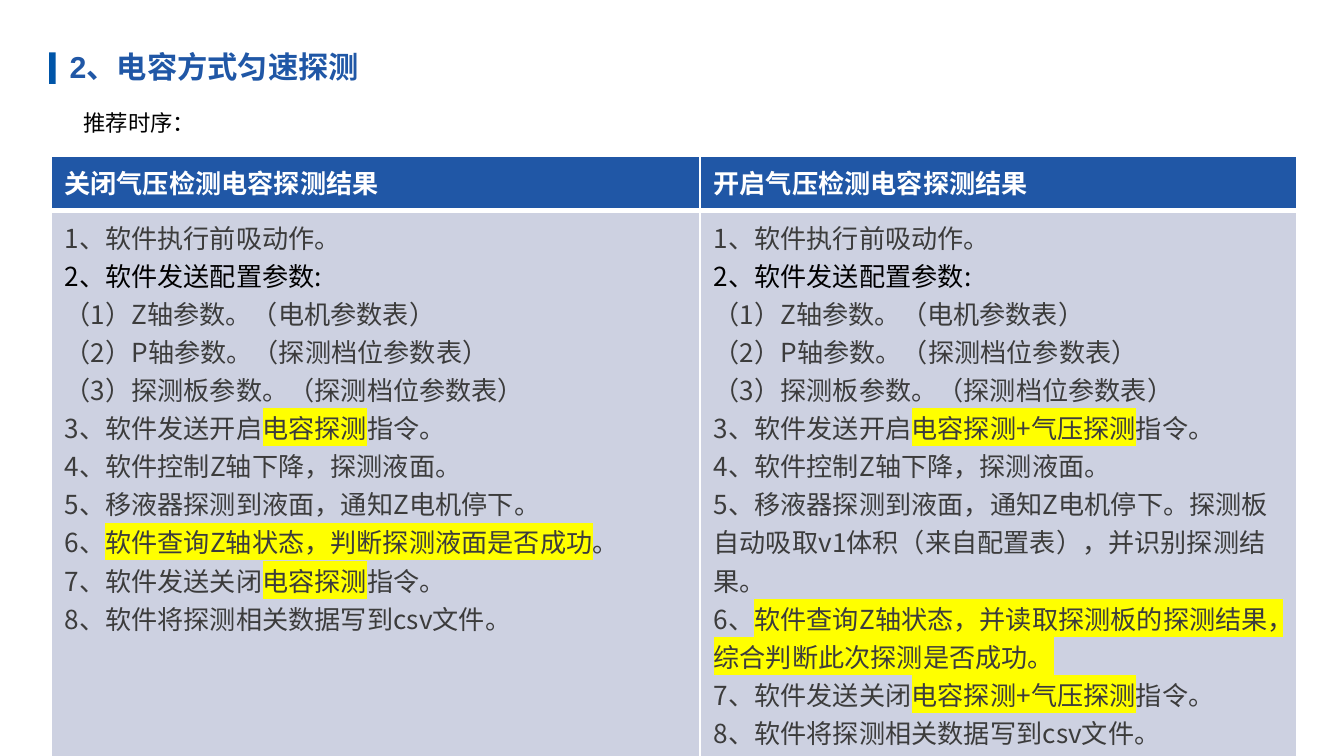
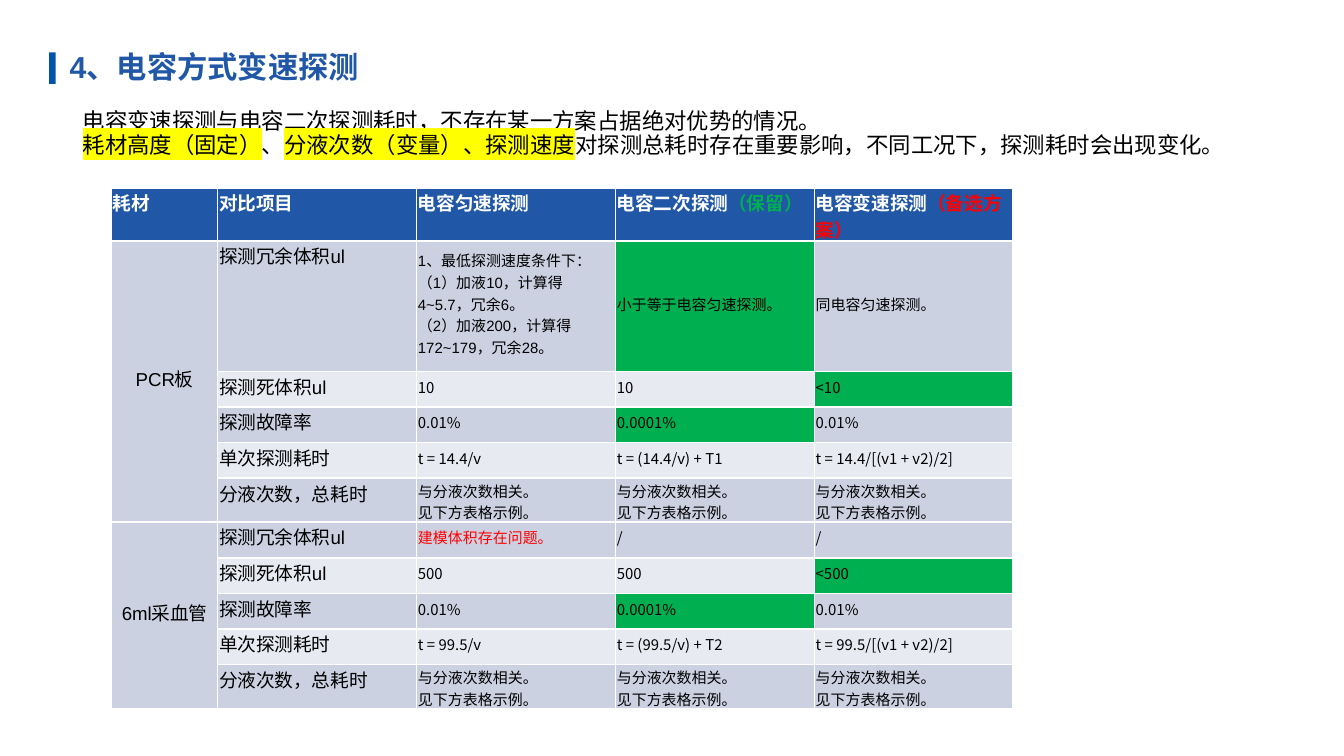
import pptx
import pptx.util
import pptx.dml.color
import pptx.enum.shapes
import pptx.enum.text
import pptx.oxml.ns
from lxml import etree

PX = 4572
RGB = pptx.dml.color.RGBColor
ANCHOR = pptx.enum.text.MSO_ANCHOR
ALIGN = pptx.enum.text.PP_ALIGN
qn = pptx.oxml.ns.qn

BLUE = RGB(0x20, 0x57, 0xA6)
BAR_BLUE = RGB(0x00, 0x55, 0xA8)
WHITE = RGB(0xFF, 0xFF, 0xFF)
BLACK = RGB(0x00, 0x00, 0x00)
GRAY = RGB(0x3C, 0x3C, 0x3C)
RED = RGB(0xFF, 0x00, 0x00)
GREEN = RGB(0x00, 0xB0, 0x50)
YELLOW = RGB(0xFF, 0xFF, 0x00)
STEP_FILL = RGB(0xCD, 0xD1, 0xE1)
BAND_DARK = RGB(0xCC, 0xD1, 0xE1)
BAND_LIGHT = RGB(0xE7, 0xEA, 0xF1)

CJK = "Noto Sans CJK SC"
TITLE = dict(size=16.2, name=CJK, bold=True, color=BLUE)
NOTE = dict(size=12, name=CJK, bold=False, color=BLACK)
STEP = dict(size=14, name=CJK, bold=False, color=GRAY)
STEP_HEAD = dict(size=14, name="Calibri", bold=True, color=WHITE)
LABEL = dict(size=10, name="Arial", bold=False, color=BLACK)
LABEL_HEAD = dict(LABEL, bold=True, color=WHITE)
VALUE = dict(size=8, name=CJK, bold=False, color=BLACK)
VALUE_ARIAL = dict(VALUE, name="Arial")
MARK = dict(highlight=YELLOW)
TIGHT = dict(margin_left=2 * PX, margin_top=2 * PX, margin_right=2 * PX, margin_bottom=10 * PX)

SEE_BELOW = ["与分液次数相关。", "见下方表格示例。"]
COMPARE_HEAD = [
    "耗材",
    "对比项目",
    "电容匀速探测",
    [["电容二次探测", ("（保留）", dict(name=CJK, color=GREEN))]],
    [["电容变速探测", ("（备选方案）", dict(name=CJK, color=RED))]],
]
ITEMS = ["探测冗余体积ul", "探测死体积ul", "探测故障率", "单次探测耗时", "分液次数，总耗时"]
FAULT_RATES = ["0.01%", "0.0001%", "0.01%"]
GROUPS = [
    ("PCR板", 10, "14.4", "T1", [
        (["1、最低探测速度条件下：",
          "（1）加液10，计算得4~5.7，冗余6。",
          "（2）加液200，计算得172~179，冗余28。"], VALUE_ARIAL),
        ("小于等于电容匀速探测。", VALUE_ARIAL),
        ("同电容匀速探测。", VALUE_ARIAL),
    ]),
    ("6ml采血管", 500, "99.5", "T2", [
        ("建模体积存在问题。", dict(VALUE_ARIAL, color=RED)),
        ("/", VALUE),
        ("/", VALUE),
    ]),
]
BEST = {(1, 3), (2, 4), (3, 3), (7, 4), (8, 3)}


def apply(target, values):
    for key, value in values.items():
        setattr(target, key, value)


def add_span(para, text, style):
    span = para.add_run()
    span.text = text
    font = span.font
    font.color.rgb = style["color"]
    if "highlight" in style:
        mark = etree.Element(qn("a:highlight"))
        etree.SubElement(mark, qn("a:srgbClr"), val=str(style["highlight"]))
        font.fill._xPr.find(qn("a:solidFill")).addnext(mark)
    apply(font, dict(size=pptx.util.Pt(style["size"]), bold=style["bold"], name=style["name"]))
    latin = span._r.rPr.find(qn("a:latin"))
    latin.addnext(etree.Element(qn("a:ea"), typeface=CJK))


def write(frame, paras, style, **para_format):
    paras = [paras] if isinstance(paras, str) else paras
    for index, spans in enumerate(paras):
        para = frame.add_paragraph() if index else frame.paragraphs[0]
        apply(para, para_format)
        for span in [spans] if isinstance(spans, str) else spans:
            text, change = (span, {}) if isinstance(span, str) else span
            add_span(para, text, {**style, **change})


def add_text(page, box, paras, style, anchor=ANCHOR.TOP, **para_format):
    frame = page.shapes.add_textbox(*(value * PX for value in box)).text_frame
    apply(frame, dict(word_wrap=True, vertical_anchor=anchor))
    write(frame, paras, style, **para_format)
    return frame


def add_title(page, number, text):
    bar = page.shapes.add_shape(
        pptx.enum.shapes.MSO_SHAPE.RECTANGLE, *(value * PX for value in (73, 78, 10, 47)))
    bar.shadow.inherit = False
    bar.fill.solid()
    bar.fill.fore_color.rgb = BAR_BLUE
    bar.line.fill.background()
    spans = [(number, dict(name="Arial")), text]
    add_text(page, (84, 61, 918, 76), [spans], TITLE, ANCHOR.MIDDLE)


def add_note(page, box, paras, **para_format):
    frame = add_text(page, box, paras, NOTE, **para_format)
    frame.margin_left = 50 * PX


def add_grid(page, box, widths, heights):
    holder = page.shapes.add_table(
        len(heights), len(widths), *(value * PX for value in box))
    table = holder.table
    apply(table, dict(first_row=False, horz_banding=False))
    for column, width in zip(table.columns, widths):
        column.width = width * PX
    for row, height in zip(table.rows, heights):
        row.height = height * PX
    apply(holder, dict(width=box[2] * PX, height=box[3] * PX))
    return table


def dress_cell(cell, fill, top=1, bottom=1):
    tc_pr = cell._tc.get_or_add_tcPr()
    for side, width in (("L", 1), ("R", 1), ("T", top), ("B", bottom)):
        line = etree.SubElement(tc_pr, qn("a:ln" + side), w=str(pptx.util.Pt(width)))
        solid = etree.SubElement(line, qn("a:solidFill"))
        etree.SubElement(solid, qn("a:srgbClr"), val=str(WHITE))
    cell.fill.solid()
    cell.fill.fore_color.rgb = fill


def step_list(probe, stop, check):
    return [
        "1、软件执行前吸动作。",
        [("2、软件发送配置参数:", dict(color=BLACK))],
        "（1）Z轴参数。（电机参数表）",
        "（2）P轴参数。（探测档位参数表）",
        "（3）探测板参数。（探测档位参数表）",
        ["3、软件发送开启", (probe, MARK), "指令。"],
        "4、软件控制Z轴下降，探测液面。",
        "5、移液器探测到液面，通知Z电机停下。" + stop,
        ["6、", *check],
        ["7、软件发送关闭", (probe, MARK), "指令。"],
        "8、软件将探测相关数据写到csv文件。",
    ]


def add_steps(page, box):
    columns = [
        ("关闭气压检测电容探测结果", step_list(
            "电容探测", "", [("软件查询Z轴状态，判断探测液面是否成功", MARK), "。"])),
        ("开启气压检测电容探测结果", step_list(
            "电容探测+气压探测",
            "探测板自动吸取v1体积（来自配置表），并识别探测结果。",
            [("软件查询Z轴状态，并读取探测板的探测结果，综合判断此次探测是否成功。", MARK)])),
    ]
    table = add_grid(page, box, (966, 888), (82, 814))
    for index, (heading, steps) in enumerate(columns):
        head, body = table.cell(0, index), table.cell(1, index)
        dress_cell(head, BLUE, bottom=3)
        dress_cell(body, STEP_FILL, top=3)
        write(head.text_frame, heading, STEP_HEAD)
        write(body.text_frame, steps, STEP)


def group_values(volume, distance, delay, redundancy):
    plain = [
        [str(volume), str(volume), f"<{volume}"],
        FAULT_RATES,
        [f"t = {distance}/v", f"t = ({distance}/v) + {delay}", f"t = {distance}/[(v1 + v2)/2]"],
        [SEE_BELOW] * 3,
    ]
    return [redundancy] + [[(value, VALUE) for value in row] for row in plain]


def add_comparison(page, box):
    table = add_grid(page, box, [158] + [296] * 4, [72, 194] + [53] * 9)
    count = len(ITEMS)
    for row in range(len(table.rows)):
        band = BLUE if row == 0 else (BAND_LIGHT if (row - 1) % count % 2 else BAND_DARK)
        for column in range(len(table.columns)):
            cell = table.cell(row, column)
            fill = GREEN if (row, column) in BEST else band
            dress_cell(cell, BAND_DARK if row and column == 0 else fill)
            apply(cell, TIGHT)
    for column, heading in enumerate(COMPARE_HEAD):
        write(table.cell(0, column).text_frame, heading, LABEL_HEAD)
    for index, (name, volume, distance, delay, redundancy) in enumerate(GROUPS):
        first = 1 + index * count
        group = table.cell(first, 0)
        group.merge(table.cell(first + count - 1, 0))
        group.vertical_anchor = ANCHOR.MIDDLE
        write(group.text_frame, name, LABEL, alignment=ALIGN.CENTER)
        rows = zip(ITEMS, group_values(volume, distance, delay, redundancy))
        for row, (item, values) in enumerate(rows, first):
            write(table.cell(row, 1).text_frame, item, LABEL)
            for column, (text, style) in enumerate(values, 2):
                cell = table.cell(row, column)
                cell.vertical_anchor = ANCHOR.MIDDLE
                write(cell.text_frame, text, style)


def build_uniform_page(page):
    add_title(page, "2、", "电容方式匀速探测")
    add_steps(page, (76, 232, 1854, 624))
    add_note(page, (74, 152, 1856, 100), "推荐时序：")


def build_variable_page(page):
    add_title(page, "4、", "电容方式变速探测")
    add_note(page, (73, 154, 1856, 100), [
        "电容变速探测与电容二次探测耗时，不存在某一方案占据绝对优势的情况。",
        [("耗材高度（固定）", MARK), "、", ("分液次数（变量）、探测速度", MARK),
         "对探测总耗时存在重要影响，不同工况下，探测耗时会出现变化。"],
    ], line_spacing=0.9)
    add_comparison(page, (166, 280, 1832, 742))


def main():
    deck = pptx.Presentation()
    apply(deck, dict(slide_width=2000 * PX, slide_height=1125 * PX))
    for build in (build_uniform_page, build_variable_page):
        build(deck.slides.add_slide(deck.slide_layouts[6]))
    deck.save("out.pptx")


if __name__ == "__main__":
    main()
